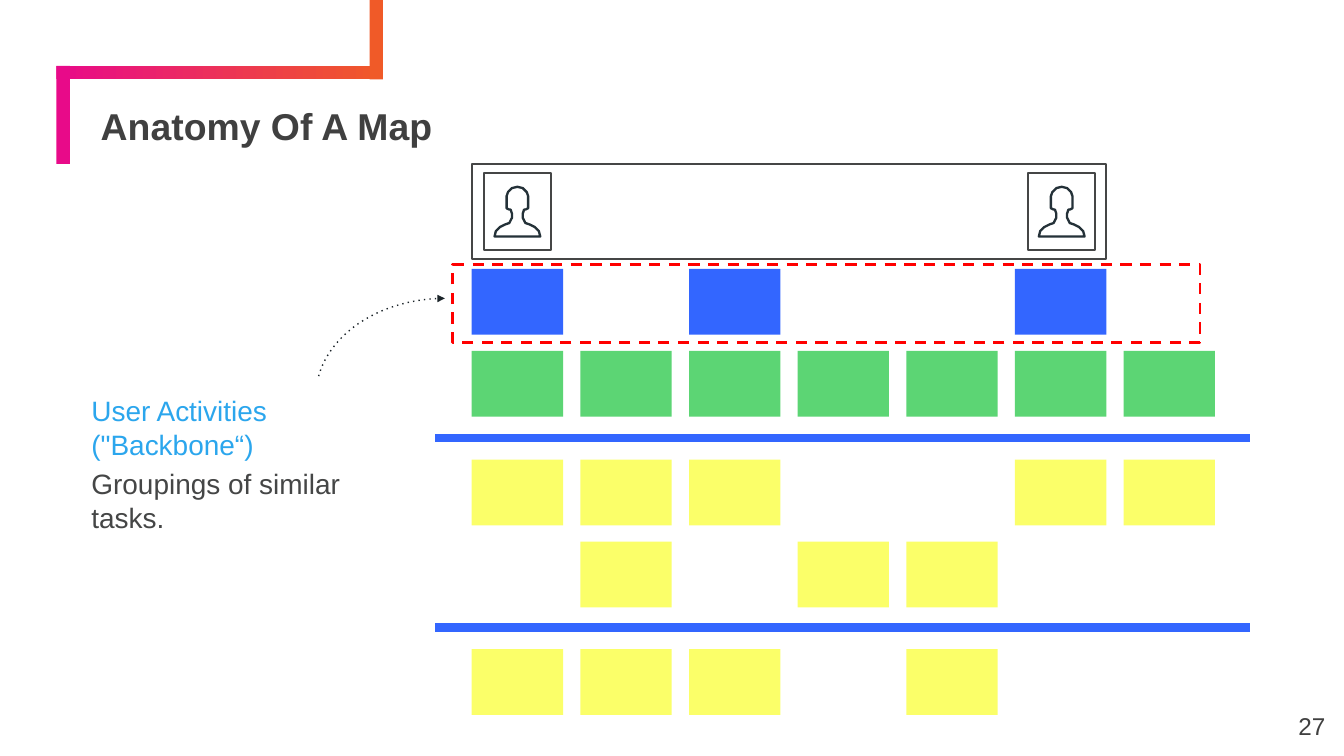
from math import cos, radians, sin

from lxml import etree
from pptx import Presentation
from pptx.dml.color import RGBColor
from pptx.enum.dml import MSO_LINE
from pptx.enum.shapes import MSO_CONNECTOR, MSO_SHAPE
from pptx.enum.text import MSO_ANCHOR, PP_ALIGN
from pptx.oxml.ns import qn
from pptx.util import Inches, Pt

INK, GRAY, SKY = "404040", "454646", "2BA6ED"
PINK, ORANGE, RED = "E80A89", "F05A28", "FF0000"
BLUE, GREEN, YELLOW = "3366FF", "5CD574", "FBFF69"

CARD_W, CARD_H = 0.68, 0.49
FIRST_X, LAST_X, COLUMNS = 3.51, 8.36, 7
PITCH = (LAST_X - FIRST_X) / (COLUMNS - 1)

# top of the row, colour, filled columns
CARD_ROWS = [
    (2.61, GREEN, range(COLUMNS)),
    (3.42, YELLOW, (0, 1, 2, 5, 6)),
    (4.03, YELLOW, (1, 3, 4)),
    (4.83, YELLOW, (0, 1, 2, 4)),
    (2.0, BLUE, (0, 2, 5)),
]

# left half of the bust, from the crown down, relative to the crown
BUST = [(-0.04, 0.01), (-0.07, 0.04), (-0.08, 0.07), (-0.08, 0.1),
        (-0.08, 0.14), (-0.08, 0.16), (-0.06, 0.17), (-0.05, 0.17),
        (-0.04, 0.2), (-0.04, 0.23), (-0.06, 0.27), (-0.09, 0.28),
        (-0.13, 0.3), (-0.16, 0.33), (-0.17, 0.37)]


def rgb(value):
    return RGBColor.from_string(value)


class Deck:
    font = "Arial"

    def __init__(self, width, height):
        self.prs = Presentation()
        self.prs.slide_width, self.prs.slide_height = Inches(width), Inches(height)
        self.s = self.prs.slides.add_slide(self.prs.slide_layouts[6])

    def outline(self, sp, color, width, dash=None):
        sp.line.color.rgb = rgb(color)
        sp.line.width = Pt(width)
        if dash:
            sp.line.dash_style = dash

    def rect(self, x, y, w, h, fill=None, line=None, width=1, dash=None):
        sp = self.s.shapes.add_shape(
            MSO_SHAPE.RECTANGLE, Inches(x), Inches(y), Inches(w), Inches(h))
        sp.shadow.inherit = False
        if fill:
            sp.fill.solid()
            sp.fill.fore_color.rgb = rgb(fill)
        else:
            sp.fill.background()
        if line:
            self.outline(sp, line, width, dash)
        else:
            sp.line.fill.background()
        return sp

    def gradient_bar(self, x, y, w, h, colors):
        sp = self.rect(x, y, w, h)
        sp.fill.gradient()
        sp.fill.gradient_angle = 0
        for stop, color in zip(sp.fill.gradient_stops, colors):
            stop.color.rgb = rgb(color)

    def path_shape(self, points, color, width, close=True, dash=None):
        pts = [(Inches(x), Inches(y)) for x, y in points]
        builder = self.s.shapes.build_freeform(*pts[0])
        builder.add_line_segments(pts[1:], close=close)
        sp = builder.convert_to_shape()
        sp.shadow.inherit = False
        sp.fill.background()
        self.outline(sp, color, width, dash)
        return sp

    def person(self, x, y):
        """Framed bust with the frame's top left corner at x, y."""
        self.rect(x, y, 0.5, 0.57, line=GRAY)
        right = [(-dx, dy) for dx, dy in reversed(BUST)]
        self.path_shape([(x + 0.25 + dx, y + 0.1 + dy)
                         for dx, dy in [(0, 0)] + BUST + right], "243138", 1.25)

    def arc_arrow(self, cx, cy, rx, ry, start, end, color):
        """Dotted elliptical arc with an arrowhead; angles in degrees."""
        steps = 24
        angles = [radians(start + (end - start) * i / steps) for i in range(steps + 1)]
        sp = self.path_shape([(cx + rx * cos(a), cy - ry * sin(a)) for a in angles],
                             color, 0.75, close=False, dash=MSO_LINE.ROUND_DOT)
        ln = sp.line._get_or_add_ln()
        ln.find(qn("a:prstDash")).set("val", "dot")
        etree.SubElement(ln, qn("a:tailEnd"), type="triangle", w="sm", len="sm")

    def rule(self, x1, x2, y, color, width):
        c = self.s.shapes.add_connector(
            MSO_CONNECTOR.STRAIGHT, Inches(x1), Inches(y), Inches(x2), Inches(y))
        self.outline(c, color, width)
        etree.SubElement(c._element.spPr, qn("a:effectLst"))

    def text(self, box, lines, size, insets, bold=False, align=PP_ALIGN.LEFT,
             anchor=MSO_ANCHOR.TOP, spacing=None, before=0):
        """Text box; lines holds (text, colour), insets left, top, right, bottom."""
        tf = self.s.shapes.add_textbox(*map(Inches, box)).text_frame
        tf.word_wrap = True
        tf.vertical_anchor = anchor
        (tf.margin_left, tf.margin_top,
         tf.margin_right, tf.margin_bottom) = map(Inches, insets)
        for i, (line, color) in enumerate(lines):
            p = tf.add_paragraph() if i else tf.paragraphs[0]
            p.text = line
            p.alignment = align
            if spacing:
                p.line_spacing = spacing
            if i:
                p.space_before = Pt(before)
            p.font.name, p.font.size, p.font.bold = self.font, Pt(size), bold
            p.font.color.rgb = rgb(color)


def main():
    deck = Deck(10, 10 * 9 / 16)

    deck.gradient_bar(0.42, 0.49, 2.43, 0.1, (PINK, ORANGE))
    deck.rect(0.42, 0.49, 0.1, 0.73, PINK)
    deck.rect(2.75, 0, 0.1, 0.59, ORANGE)
    deck.text((0.67, 0.78, 9.03, 0.34), [("Anatomy Of A Map", INK)], 20,
              (0.08, 0.05, 0.08, 0.04), bold=True, anchor=MSO_ANCHOR.MIDDLE, spacing=0.9)

    for top, color, columns in CARD_ROWS:
        for column in columns:
            deck.rect(FIRST_X + column * PITCH, top, CARD_W, CARD_H, color)
    for y in (3.26, 4.67):
        deck.rule(3.24, 9.3, y, BLUE, 4.5)

    for x in (3.6, 7.65):
        deck.person(x, 1.29)
    deck.rect(FIRST_X, 1.22, 4.72, 0.71, line=GRAY)

    deck.text((0.67, 2.87, 2.36, 1.11),
              [('User Activities ("Backbone“)', SKY),
               ("Groupings of similar tasks.", GRAY)],
              15, (0.01, 0.06, 0, 0), before=3.2)
    deck.arc_arrow(3.31, 2.95, 0.96, 0.73, 168, 90, "1B2429")
    deck.rect(3.37, 1.97, 5.56, 0.58, line=RED, width=1.5, dash=MSO_LINE.DASH)
    deck.text((9.36, 5.19, 0.6, 0.43), [("27", INK)], 13, (0.1,) * 4,
              align=PP_ALIGN.RIGHT)

    deck.prs.save("out.pptx")


if __name__ == "__main__":
    main()
